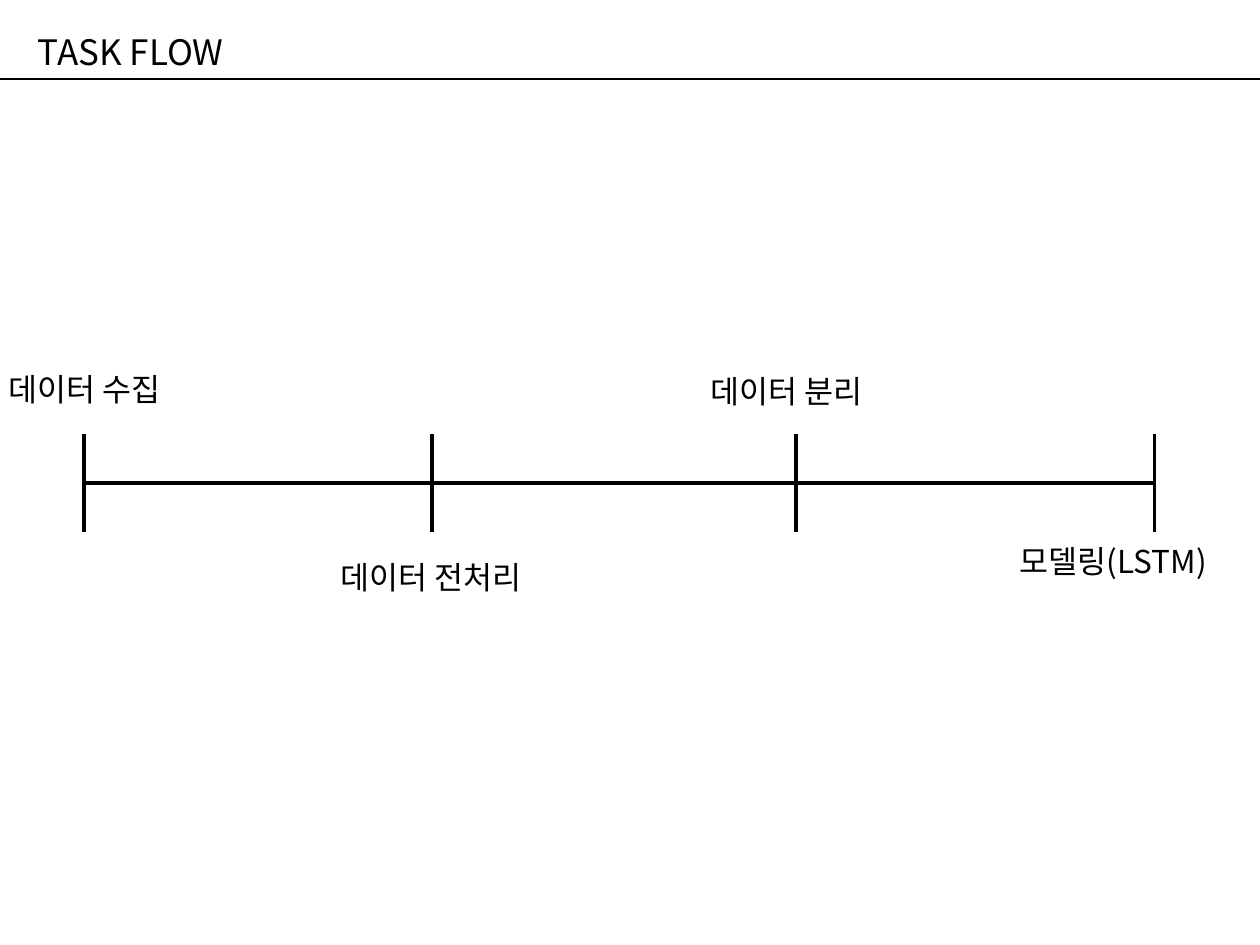
import pptx
import pptx.dml.color
import pptx.enum.shapes
import pptx.enum.text
import pptx.oxml
import pptx.oxml.ns
import pptx.util

PIXEL = pptx.util.Inches(1) // 126
COLOURS = {"ink": "000000", "paper": "FFFFFF"}
FONT = "Noto Sans CJK KR"
ALIGN = pptx.enum.text.PP_ALIGN

AXIS_Y = 483
TICK_REACH = 49
LABEL_HEIGHT = 50
# Tick x, label text, label left, top and width
STEPS = [
    (84, "데이터 수집", -42, 364, 253),
    (432, "데이터 전처리", 285, 552, 292),
    (796, "데이터 분리", 660, 366, 253),
    (1155, "모델링(LSTM)", 987, 536, 253),
]


def px(value):
    """Turn pixels into EMU."""
    return pptx.util.Emu(value * PIXEL)


def colour(name):
    """Look up a colour by its name."""
    return pptx.dml.color.RGBColor.from_string(COLOURS[name])


def write_text(box, text, size, align, spacing=None):
    """Put one formatted line of text in a box that grows with it."""
    frame = box.text_frame
    frame.word_wrap = True
    frame.vertical_anchor = pptx.enum.text.MSO_ANCHOR.TOP
    frame.auto_size = pptx.enum.text.MSO_AUTO_SIZE.SHAPE_TO_FIT_TEXT
    para = frame.paragraphs[0]
    para.alignment = align
    para.line_spacing = spacing
    span = para.add_run()
    span.text = text
    span.font.size = pptx.util.Pt(size)
    span.font.name = FONT
    span.font.color.rgb = colour("ink")
    east_asian = pptx.oxml.parse_xml(
        f'<a:ea {pptx.oxml.ns.nsdecls("a")} typeface="{FONT}"/>')
    span.font._element.find(pptx.oxml.ns.qn("a:latin")).addnext(east_asian)


def add_title(page, text):
    """Place and fill the title placeholder."""
    title = page.shapes.title
    title.left, title.top = px(25), px(3)
    title.width, title.height = px(771), px(68)
    write_text(title, text, 20, ALIGN.LEFT, 1.5)


def add_line(page, start, end, weight):
    """Draw a straight line without a shadow."""
    line = page.shapes.add_connector(
        pptx.enum.shapes.MSO_CONNECTOR.STRAIGHT,
        *(px(value) for value in start + end))
    line.line.color.rgb = colour("ink")
    line.line.width = pptx.util.Pt(weight)
    line._element.spPr.append(pptx.oxml.parse_xml(
        f'<a:effectLst {pptx.oxml.ns.nsdecls("a")}/>'))


def add_label(page, text, left, top, width):
    """Add a centred step label."""
    box = page.shapes.add_textbox(
        px(left), px(top), px(width), px(LABEL_HEIGHT))
    write_text(box, text, 18, ALIGN.CENTER)


def add_timeline(page):
    """Draw the axis with a tick and a label for each step."""
    add_line(page, (STEPS[0][0], AXIS_Y), (STEPS[-1][0], AXIS_Y), 2)
    for x, text, left, top, width in STEPS:
        add_line(page, (x, AXIS_Y - TICK_REACH), (x, AXIS_Y + TICK_REACH), 1.75)
        add_label(page, text, left, top, width)


def main():
    """Build and save the slide."""
    deck = pptx.Presentation()
    deck.slide_width, deck.slide_height = px(1260), px(945)
    page = deck.slides.add_slide(deck.slide_layouts[5])
    page.background.fill.solid()
    page.background.fill.fore_color.rgb = colour("paper")
    add_title(page, "TASK FLOW")
    add_line(page, (0, 79), (1260, 79), 0.75)
    add_timeline(page)
    deck.save("out.pptx")


main()
